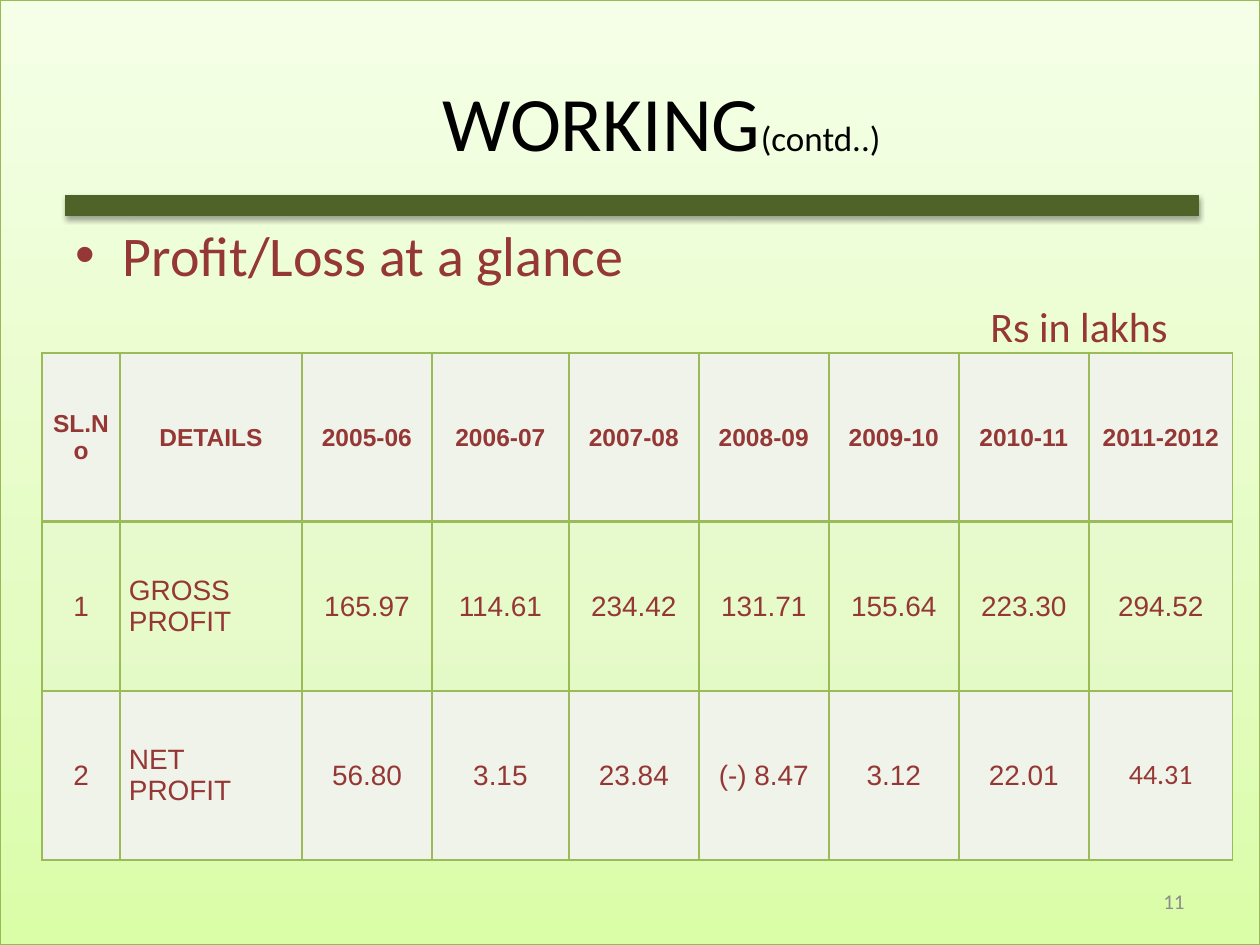
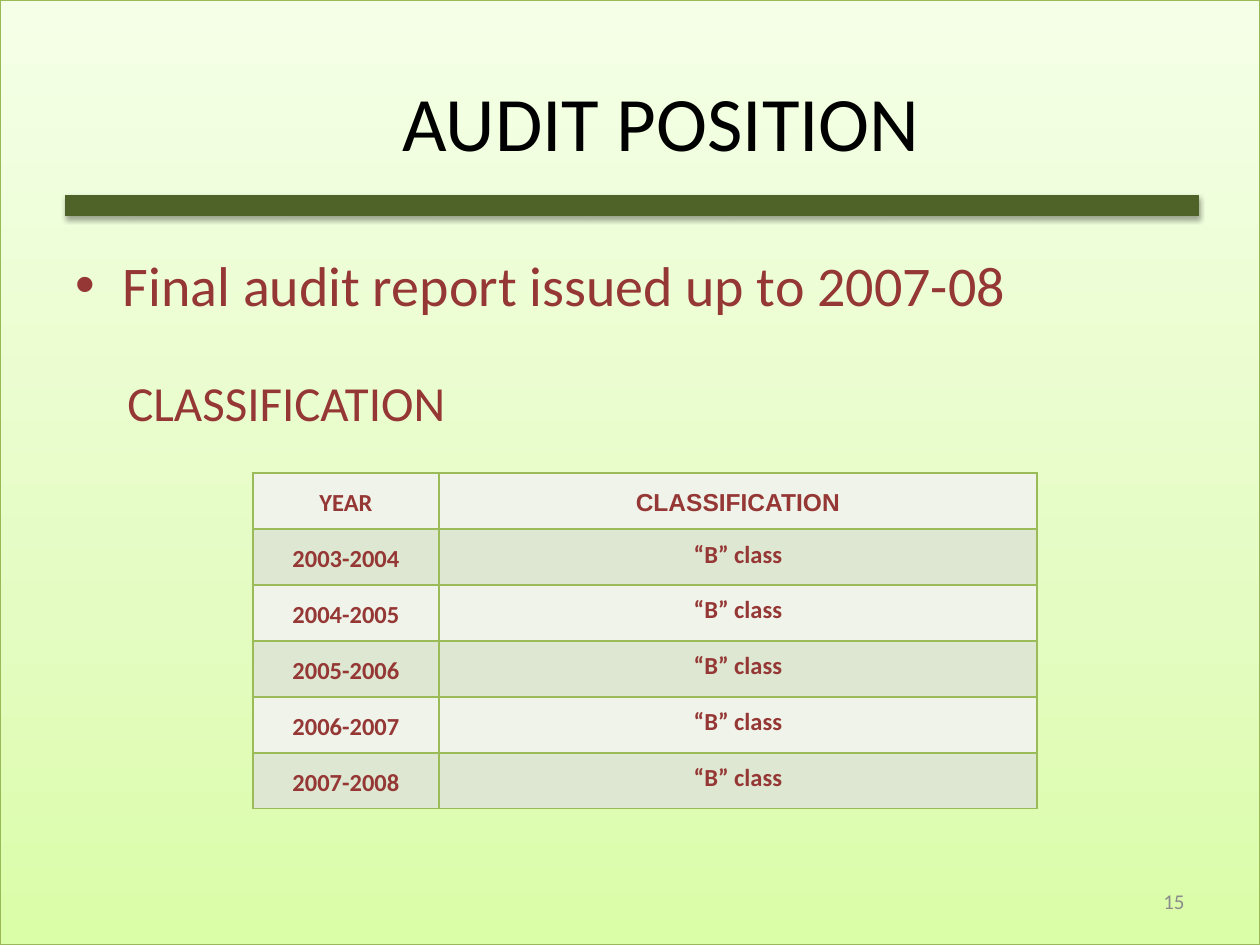
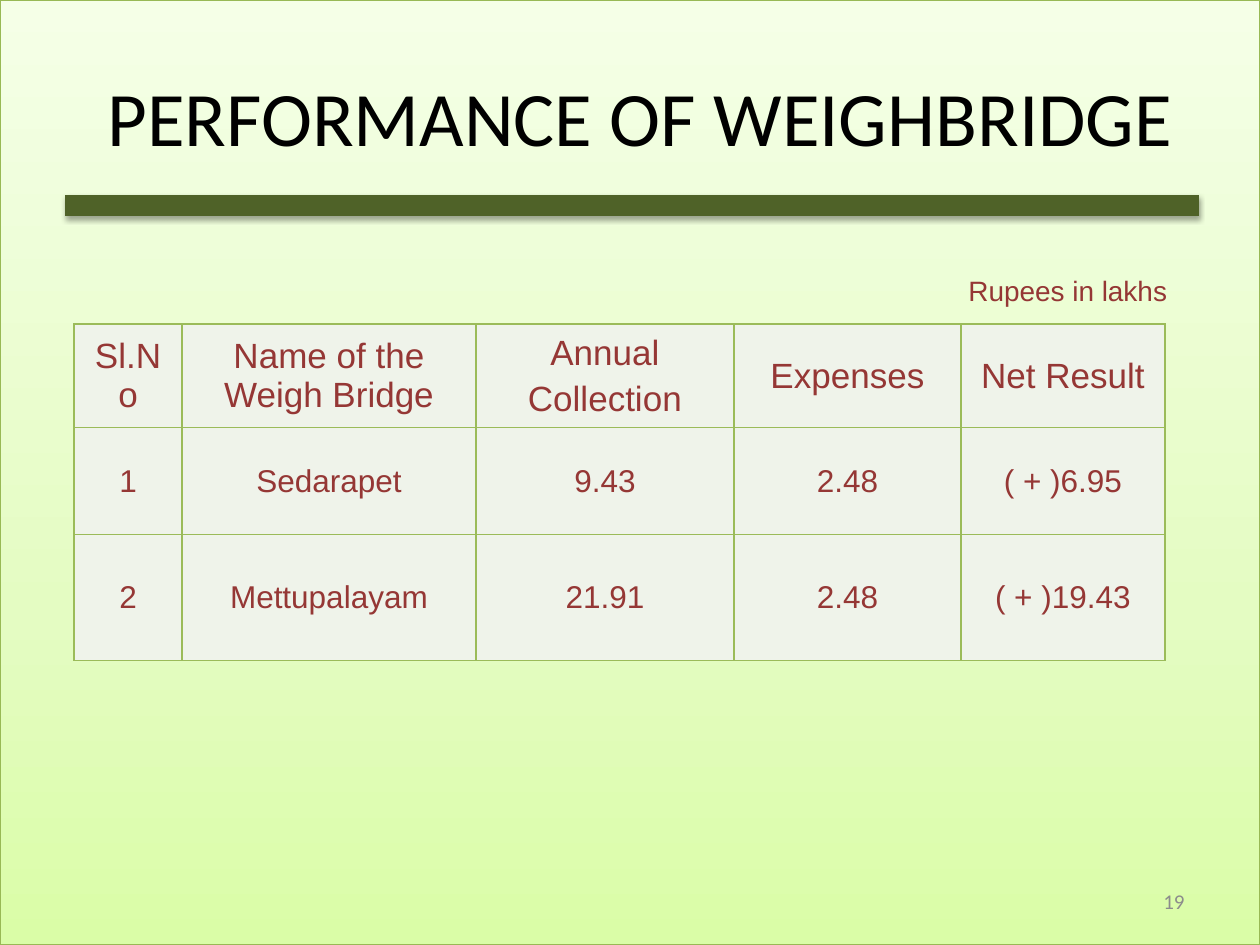
from lxml import etree
from pptx import Presentation
from pptx import util as u
from pptx.dml import color
from pptx.enum import shapes, text
from pptx.oxml import ns

SCALE = 914400 / 126
BLACK, RED, GRAY = "000000", "953735", "8C8C8C"
OLIVE, GREEN, EDGE = "4F6228", "9BBB59", "98B955"
PALE, SAGE = "EFF3EA", "DEE7D1"
GLOW = [(0, "DAFDA7"), (35, "E4FCC2"), (100, "F5FFE7")]
LEFT, MID, RIGHT = text.PP_ALIGN.LEFT, text.PP_ALIGN.CENTER, text.PP_ALIGN.RIGHT
TOP, CENTER = text.MSO_ANCHOR.TOP, text.MSO_ANCHOR.MIDDLE


def px(n):
    return u.Emu(round(n * SCALE))


def rgb(tint):
    return color.RGBColor.from_string(tint)


def node(parent, tag, **attrs):
    return etree.SubElement(parent, ns.qn(tag), {k: str(v) for k, v in attrs.items()})


class Deck:
    def __init__(self):
        self.prs = Presentation()
        self.prs.slide_width, self.prs.slide_height = px(1260), px(945)
        self.slide = None

    def start(self, number):
        first = self.slide is None
        self.slide = self.prs.slides.add_slide(self.prs.slide_layouts[1])
        if first:
            self.base()
        self.label(str(number), (903, 876, 294, 50), 12, GRAY, align=RIGHT, anchor=CENTER)

    def base(self):
        back = self.shape(shapes.MSO_SHAPE.RECTANGLE, (0, 0, 1260, 945))
        back.fill.gradient()
        back.fill.gradient_angle = 90
        stops = back.element.spPr.find(".//" + ns.qn("a:gsLst"))
        stops.clear()
        for pos, tint in GLOW:
            node(node(stops, "a:gs", pos=pos * 1000), "a:srgbClr", val=tint)
        back.line.color.rgb = rgb(EDGE)
        back.line.width = u.Pt(0.75)

        bar = self.shape(shapes.MSO_SHAPE.MATH_MINUS, (-139, 161, 1543, 89))
        bar.fill.solid()
        bar.fill.fore_color.rgb = rgb(OLIVE)
        bar.line.fill.background()
        cast = node(bar.element.spPr.find(ns.qn("a:effectLst")), "a:outerShdw",
                    blurRad=u.Pt(3.1), dist=u.Pt(1.8), dir=5400000, rotWithShape=0)
        node(node(cast, "a:srgbClr", val=BLACK), "a:alpha", val=35000)

        tree = self.prs.slide_master.shapes.element
        tree.insert(2, back.element)
        tree.insert(3, bar.element)

    def shape(self, kind, box):
        shape = self.slide.shapes.add_shape(kind, *map(px, box))
        shape.shadow.inherit = False
        return shape

    def place(self, shape, box):
        shape.left, shape.top, shape.width, shape.height = map(px, box)

    def fill_in(self, frame, words, size, tint, face="Calibri", bold=False,
                align=LEFT, space=None, gap=0):
        frame.text = words
        for i, par in enumerate(frame.paragraphs):
            par.alignment = align
            par.space_before = u.Pt(gap if i else 0)
            if space:
                par.line_spacing = space
            for run in par.runs:
                self.font(run, size, tint, face, bold)

    def font(self, run, size, tint, face="Calibri", bold=False):
        run.font.size = u.Pt(size)
        run.font.name = face
        run.font.bold = bold
        run.font.color.rgb = rgb(tint)

    def label(self, words, box, size, tint=RED, face="Calibri", align=LEFT, anchor=TOP):
        frame = self.slide.shapes.add_textbox(*map(px, box)).text_frame
        frame.word_wrap = True
        frame.vertical_anchor = anchor
        self.fill_in(frame, words, size, tint, face, align=align)

    def title(self, words, tail="", left=63, anchor=CENTER):
        shape = self.slide.shapes.title
        self.place(shape, (left, 63, 1197, 116))
        frame = shape.text_frame
        frame.auto_size = text.MSO_AUTO_SIZE.NONE
        frame.vertical_anchor = anchor
        self.fill_in(frame, words, 44, BLACK, align=MID)
        if tail:
            run = frame.paragraphs[0].add_run()
            run.text = tail
            self.font(run, 20, BLACK)

    def body(self, words, top, high):
        shape = self.slide.placeholders[1]
        self.place(shape, (63, top, 1197, high))
        frame = shape.text_frame
        frame.auto_size = text.MSO_AUTO_SIZE.NONE
        frame.text = words
        props = frame.paragraphs[0]._p.get_or_add_pPr()
        props.set("marL", str(px(47)))
        props.set("indent", str(px(-47)))
        node(props, "a:buFont", typeface="Arial")
        node(props, "a:buChar", char="➢")
        self.fill_in(frame, words, 32, RED)

    def drop(self):
        item = self.slide.placeholders[1].element
        item.getparent().remove(item)

    def table(self, spot, cols, highs, rows, look):
        size = sum(cols), sum(highs)
        grid = self.slide.shapes.add_table(len(rows), len(cols), *map(px, spot + size)).table
        grid.first_row = grid.horz_banding = False
        for col, wide in zip(grid.columns, cols):
            col.width = px(wide)
        for r, (row, high) in enumerate(zip(rows, highs)):
            grid.rows[r].height = px(high)
            for c, words in enumerate(row):
                self.cell(grid.cell(r, c), words, **look(r, c))

    def cell(self, cell, words, size, fill=PALE, alpha=None, inset=None,
             anchor=CENTER, thick=(), **style):
        cell.vertical_anchor = anchor
        if inset:
            cell.margin_left = cell.margin_right = px(inset)
            cell.margin_top = cell.margin_bottom = 0
        props = cell._tc.get_or_add_tcPr()
        for side in "LRTB":
            line = node(props, "a:ln" + side, w=u.Pt(2 if side in thick else 1))
            node(node(line, "a:solidFill"), "a:srgbClr", val=GREEN)
        cell.fill.solid()
        cell.fill.fore_color.rgb = rgb(fill)
        if alpha:
            node(props.find(ns.qn("a:solidFill"))[0], "a:alpha", val=alpha * 1000)
        self.fill_in(cell.text_frame, words, size, RED, **{"align": MID, **style})


def profit(deck):
    rows = [
        ["SL.No", "DETAILS", "2005-06", "2006-07", "2007-08", "2008-09",
         "2009-10", "2010-11", "2011-2012"],
        ["1", "GROSS PROFIT", "165.97", "114.61", "234.42", "131.71",
         "155.64", "223.30", "294.52"],
        ["2", "NET PROFIT", "56.80", "3.15", "23.84", "(-) 8.47",
         "3.12", "22.01", "44.31"],
    ]

    def look(r, c):
        return dict(size=16 if r else 14, bold=r == 0, inset=9,
                    face="Calibri" if (r, c) == (2, 8) else "Arial",
                    align=LEFT if r and c == 1 else MID,
                    alpha=20 if r == 1 else None, thick=("B", "T", ())[r])

    deck.start(11)
    deck.title("WORKING", "(contd..)")
    deck.body("Profit/Loss at a glance", 214, 100)
    cols = [78, 182, 130, 137, 130, 130, 130, 130, 144]
    deck.table((42, 353), cols, [169] * 3, rows, look)
    deck.label("Rs in lakhs", (978, 294, 239, 59), 24)


def audit(deck):
    rows = [["YEAR", "CLASSIFICATION"]]
    rows += [[f"{y}-{y + 1}", "“B” class"] for y in range(2003, 2008)]

    def look(r, c):
        return dict(size=14, bold=True, space=1.15, fill=SAGE if r % 2 else PALE,
                    face="Arial" if (r, c) == (0, 1) else "Calibri",
                    anchor=TOP if r and c else CENTER)

    deck.start(15)
    deck.title("AUDIT POSITION")
    deck.body("Final audit report issued up to 2007-08", 244, 149)
    deck.label("CLASSIFICATION", (115, 344, 1145, 116), 28, anchor=CENTER)
    deck.table((253, 473), [186, 598], [56] * 6, rows, look)


def weigh(deck):
    rows = [
        ["Sl.No", "Name of the Weigh Bridge", "Annual\nCollection", "Expenses", "Net Result"],
        ["1", "Sedarapet", "9.43", "2.48", "( + )6.95"],
        ["2", "Mettupalayam", "21.91", "2.48", "( + )19.43"],
    ]

    def look(r, c):
        return dict(size=18 if r else 20, face="Arial", gap=4)

    deck.start(19)
    deck.drop()
    deck.title("PERFORMANCE OF WEIGHBRIDGE", left=42, anchor=TOP)
    deck.table((74, 324), [108, 294, 258, 227, 204], [98, 107, 126], rows, look)
    deck.label("Rupees in lakhs", (956, 267, 230, 47), 16, face="Arial")


def main():
    deck = Deck()
    for build in (profit, audit, weigh):
        build(deck)
    deck.prs.save("out.pptx")


if __name__ == "__main__":
    main()
